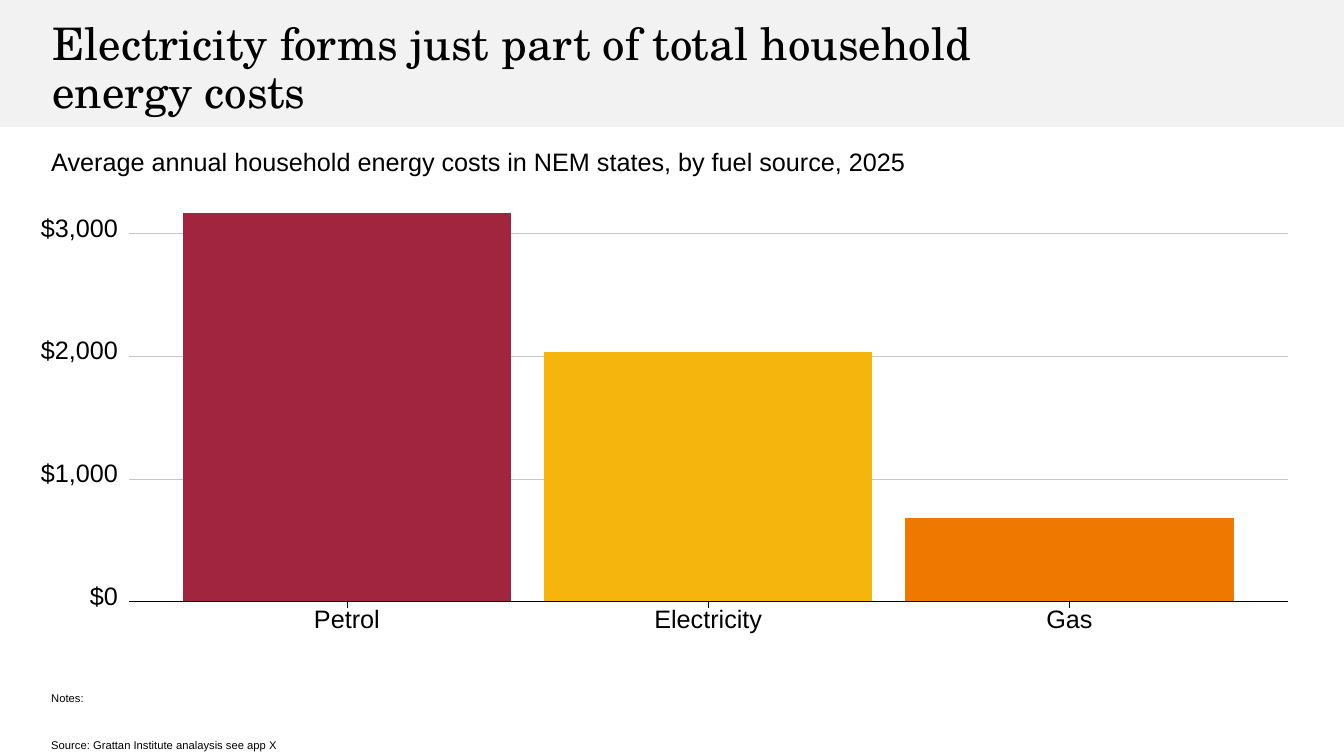
from dataclasses import dataclass

from lxml.etree import SubElement
from pptx import Presentation
from pptx.chart.data import CategoryChartData
from pptx.dml.color import RGBColor
from pptx.enum.chart import XL_CHART_TYPE, XL_TICK_MARK
from pptx.enum.shapes import MSO_CONNECTOR, MSO_SHAPE
from pptx.enum.text import MSO_ANCHOR, PP_ALIGN
from pptx.oxml.ns import qn
from pptx.util import Inches, Pt


@dataclass(frozen=True)
class Theme:
    heading_font: str = "TeX Gyre Schola"
    body_font: str = "Arial"
    title_size: int = 32
    body_size: int = 18
    note_size: int = 8
    text: str = "000000"
    band: str = "F2F2F2"
    grid: str = "C3C7CB"


THEME = Theme()

# Fuel: (annual cost in dollars, bar colour)
FUEL_COSTS = {
    "Petrol": (3160, "A1253E"),
    "Electricity": (2030, "F5B50C"),
    "Gas": (680, "EF7900"),
}

# Left, top, width, height in inches
CHART_BOX = (0.41, 1.98, 12.48, 4.69)
PLOT_BOX = (1.65, 2.08, 10.75, 3.89)
GRID_LEFT, GRID_RIGHT = 1.28, 12.77
BASELINE = PLOT_BOX[1] + PLOT_BOX[3]
COST_STEP, COST_MAX = 1000, 3190


def rgb(value):
    return RGBColor.from_string(value)


def style_font(font, size, name=THEME.body_font):
    font.name = name
    font.size = Pt(size)
    font.color.rgb = rgb(THEME.text)


def add_title_band(s, width):
    sp = s.shapes.add_shape(MSO_SHAPE.RECTANGLE, 0, 0, width, Inches(1.26))
    sp.shadow.inherit = False
    sp.fill.solid()
    sp.fill.fore_color.rgb = rgb(THEME.band)
    sp.line.fill.background()


def add_text(s, box, lines, size, font=THEME.body_font, anchor=MSO_ANCHOR.TOP, gap=0):
    """Add one paragraph per line, with gap points between them."""
    tf = s.shapes.add_textbox(*map(Inches, box)).text_frame
    tf.word_wrap = True
    tf.vertical_anchor = anchor
    for i, line in enumerate(lines):
        p = tf.add_paragraph() if i else tf.paragraphs[0]
        p.line_spacing = 0.9
        p.space_before = Pt(gap if i else 0)
        r = p.add_run()
        r.text = line
        style_font(r.font, size, font)
    return tf


def add_line(s, x1, y1, x2, y2, colour, width):
    line = s.shapes.add_connector(MSO_CONNECTOR.STRAIGHT, *map(Inches, (x1, y1, x2, y2)))
    line.line.color.rgb = rgb(colour)
    line.line.width = Pt(width)
    SubElement(line._element.spPr, qn("a:effectLst"))


def add_cost_scale(s):
    """Draw the dollar labels and the gridlines, which reach beyond the bars."""
    for cost in range(0, COST_MAX, COST_STEP):
        y = BASELINE - PLOT_BOX[3] * cost / COST_MAX
        add_line(s, GRID_LEFT, y, GRID_RIGHT, y, THEME.grid, 0.37)
        tf = add_text(s, (0.37, y - 0.15, 0.8, 0.23), [f"${cost:,}"],
                      THEME.body_size, anchor=MSO_ANCHOR.MIDDLE)
        tf.margin_left = tf.margin_right = tf.margin_top = tf.margin_bottom = 0
        tf.word_wrap = False
        tf.paragraphs[0].alignment = PP_ALIGN.RIGHT
        tf.paragraphs[0].line_spacing = Pt(18)


def add_fuel_axis(s):
    add_line(s, GRID_LEFT, BASELINE, GRID_RIGHT, BASELINE, THEME.text, 0.75)
    pitch = PLOT_BOX[2] / len(FUEL_COSTS)
    for i in range(len(FUEL_COSTS)):
        x = PLOT_BOX[0] + pitch * (i + 0.5)
        add_line(s, x, BASELINE + 0.06, x, BASELINE, THEME.text, 0.56)


def place_plot(chart):
    """Fix the inner plot area, as fractions of the chart frame."""
    left, top, width, height = CHART_BOX
    x, y, w, h = PLOT_BOX
    plot_area = chart._chartSpace.chart.plotArea
    for old in plot_area.findall(qn("c:layout")):
        plot_area.remove(old)
    layout = plot_area.makeelement(qn("c:layout"))
    plot_area.insert(0, layout)
    manual = SubElement(layout, qn("c:manualLayout"))
    settings = {
        "layoutTarget": "inner",
        "xMode": "edge",
        "yMode": "edge",
        "x": (x - left) / width,
        "y": (y - top) / height,
        "w": w / width,
        "h": h / height,
    }
    for tag, value in settings.items():
        SubElement(manual, qn(f"c:{tag}")).set("val", str(value))


def clear_background(chart):
    """Let the gridlines behind the chart show through."""
    chart_element = chart._chartSpace.chart
    frame = chart_element.makeelement(qn("c:spPr"))
    chart_element.addnext(frame)
    for properties in (frame, SubElement(chart_element.plotArea, qn("c:spPr"))):
        SubElement(properties, qn("a:noFill"))
        SubElement(SubElement(properties, qn("a:ln")), qn("a:noFill"))


def style_axes(chart):
    costs = chart.value_axis
    costs.minimum_scale, costs.maximum_scale = 0, COST_MAX
    costs.major_unit = COST_STEP
    costs.has_major_gridlines = False
    costs.visible = False
    fuels = chart.category_axis
    fuels.major_tick_mark = XL_TICK_MARK.NONE
    fuels.format.line.fill.background()


def add_cost_chart(s):
    data = CategoryChartData()
    data.categories = list(FUEL_COSTS)
    data.add_series("Annual cost", [cost for cost, _ in FUEL_COSTS.values()])
    chart = s.shapes.add_chart(
        XL_CHART_TYPE.COLUMN_CLUSTERED, *map(Inches, CHART_BOX), data
    ).chart
    chart.has_legend = False
    chart.has_title = False
    style_font(chart.font, THEME.body_size)
    plot = chart.plots[0]
    plot.vary_by_categories = False
    plot.gap_width = 10
    for i, (_, colour) in enumerate(FUEL_COSTS.values()):
        fill = plot.series[0].points[i].format.fill
        fill.solid()
        fill.fore_color.rgb = rgb(colour)
    style_axes(chart)
    place_plot(chart)
    clear_background(chart)


def main():
    prs = Presentation()
    prs.slide_width, prs.slide_height = Inches(13.33), Inches(7.5)
    s = prs.slides.add_slide(prs.slide_layouts[6])
    add_title_band(s, prs.slide_width)
    add_text(s, (0.42, 0.4, 10.54, 0.59),
             ["Electricity forms just part of total household energy costs"],
             THEME.title_size, THEME.heading_font, MSO_ANCHOR.MIDDLE)
    add_text(s, (0.41, 1.44, 12.47, 0.37),
             ["Average annual household energy costs in NEM states, by fuel source, 2025"],
             THEME.body_size)
    add_cost_scale(s)
    add_cost_chart(s)
    add_fuel_axis(s)
    add_text(s, (0.41, 6.82, 11.66, 0.5),
             ["Notes:", "Source: Grattan Institute analaysis see app X"],
             THEME.note_size, gap=25)
    prs.save("out.pptx")


if __name__ == "__main__":
    main()
